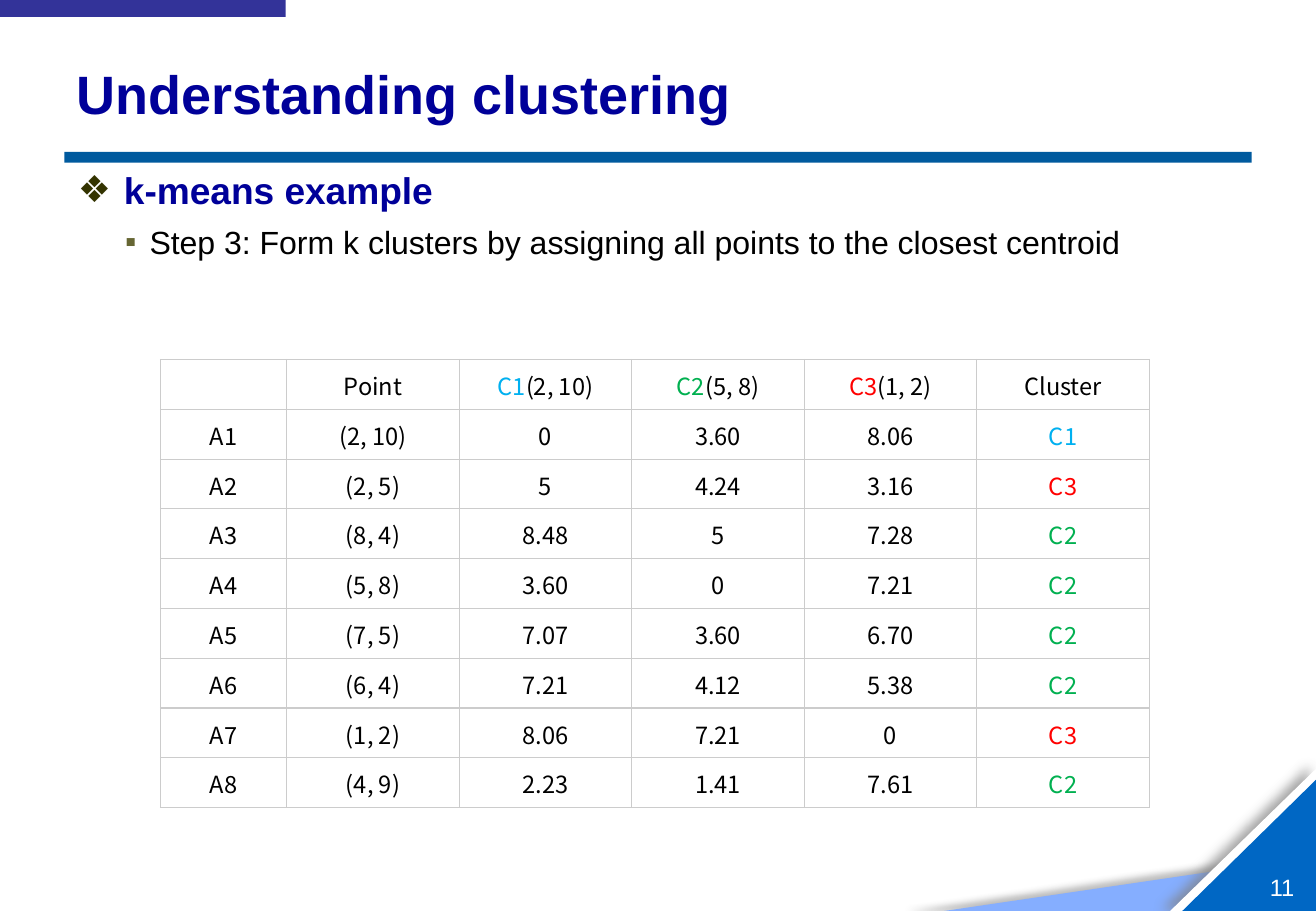
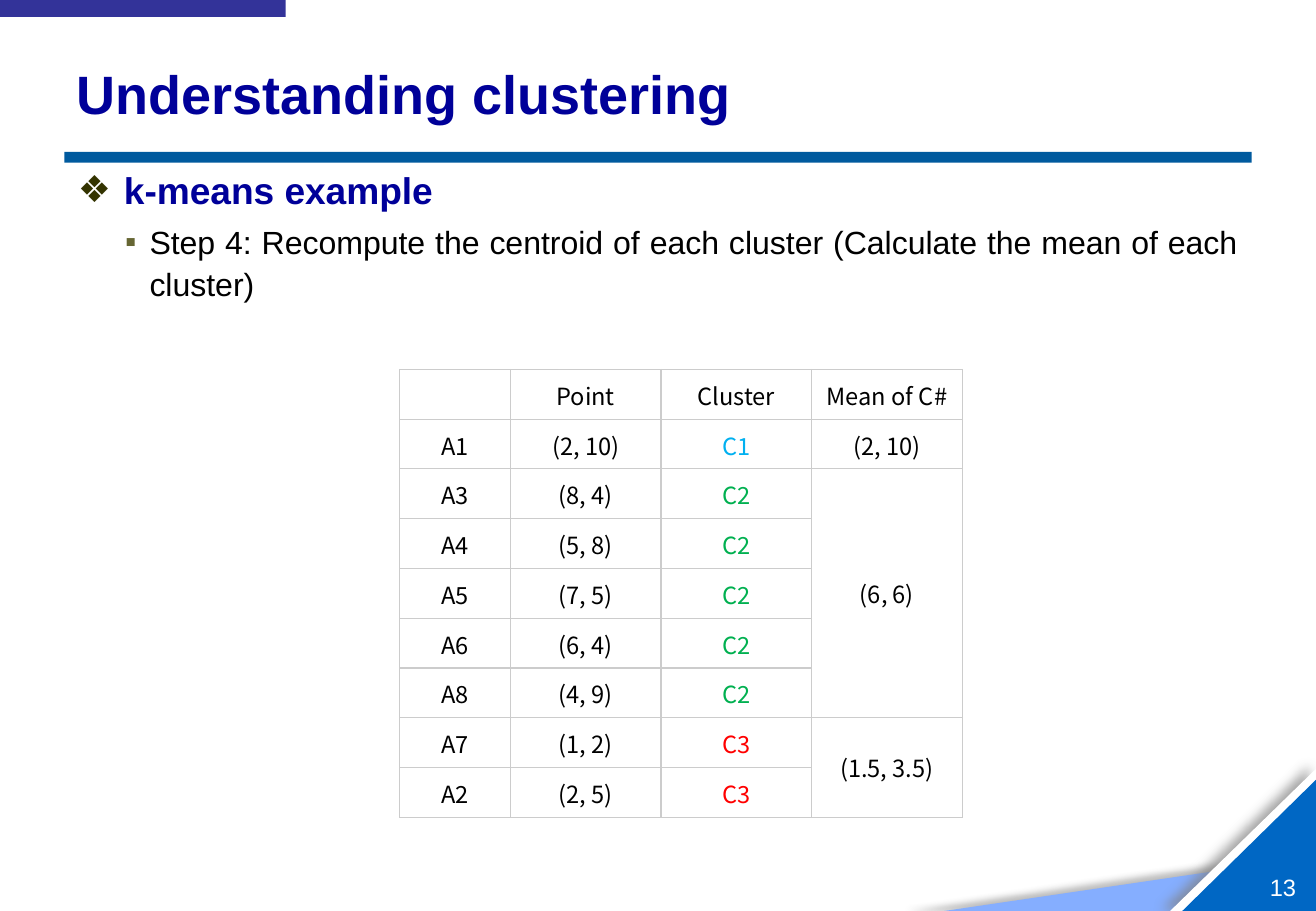
from lxml.etree import SubElement
from pptx import Presentation
from pptx.dml.color import RGBColor
from pptx.enum.shapes import MSO_SHAPE
from pptx.enum.text import MSO_ANCHOR, MSO_AUTO_SIZE, PP_ALIGN
from pptx.oxml.ns import qn
from pptx.util import Inches, Pt

COLORS = {
    "title": "000099", "text": "000000", "white": "FFFFFF",
    "tab": "333399", "rule": "005A9E",
    "wedge": "85AEFF", "corner": "0067C4",
    "mark": "333300", "dot": "666633", "grid": "CCCCCC",
    "shade": "595959", "gray": "808080",
    "C1": "00B0F0", "C2": "00B050", "C3": "FF0000",
}
SANS = "Arial"
CELL = "Noto Sans CJK KR"
ROW = 0.41

HEAD = (0.53, 0.35, 9.77, 0.83)
BODY = (0.54, 1.33, 9.75, 5.4)

STEP3 = [
    ["", "Point", "C1(2, 10)", "C2(5, 8)", "C3(1, 2)", "Cluster"],
    ["A1", "(2, 10)", "0", "3.60", "8.06", "C1"],
    ["A2", "(2, 5)", "5", "4.24", "3.16", "C3"],
    ["A3", "(8, 4)", "8.48", "5", "7.28", "C2"],
    ["A4", "(5, 8)", "3.60", "0", "7.21", "C2"],
    ["A5", "(7, 5)", "7.07", "3.60", "6.70", "C2"],
    ["A6", "(6, 4)", "7.21", "4.12", "5.38", "C2"],
    ["A7", "(1, 2)", "8.06", "7.21", "0", "C3"],
    ["A8", "(4, 9)", "2.23", "1.41", "7.61", "C2"],
]
STEP4 = [
    ["", "Point", "Cluster", "Mean of C#"],
    ["A1", "(2, 10)", "C1", "(2, 10)"],
    ["A3", "(8, 4)", "C2", "(6, 6)"],
    ["A4", "(5, 8)", "C2", ""],
    ["A5", "(7, 5)", "C2", ""],
    ["A6", "(6, 4)", "C2", ""],
    ["A8", "(4, 9)", "C2", ""],
    ["A7", "(1, 2)", "C3", "(1.5, 3.5)"],
    ["A2", "(2, 5)", "C3", ""],
]


def rgb(name):
    return RGBColor.from_string(COLORS[name])


def style(font, size, color, bold=False, face=SANS):
    font.name, font.size, font.bold = face, Pt(size), bold
    font.color.rgb = rgb(color)


def place(shape, box):
    shape.left, shape.top, shape.width, shape.height = map(Inches, box)


def tint(parent, color):
    return SubElement(parent, qn("a:srgbClr"), val=COLORS[color])


def block(slide, kind, box, color):
    shape = slide.shapes.add_shape(kind, *map(Inches, box))
    shape.shadow.inherit = False
    shape.fill.solid()
    shape.fill.fore_color.rgb = rgb(color)
    shape.line.fill.background()
    return shape


def wedge(slide, box, color, shade=None):
    """Right triangle with its square corner at the lower right."""
    shape = block(slide, MSO_SHAPE.RIGHT_TRIANGLE, box, color)
    props = shape.element.spPr
    props.get_or_add_xfrm().set("flipH", "1")
    if shade:
        tone, alpha, blur, dist, angle = shade
        outer = SubElement(
            props.find(qn("a:effectLst")), qn("a:outerShdw"),
            blurRad=str(Pt(blur)), dist=str(Pt(dist)),
            dir=str(angle * 60000), algn="ctr", rotWithShape="0")
        SubElement(tint(outer, tone), qn("a:alpha"), val=str(alpha * 1000))


def frame(slide, number):
    # Lower right corner
    wedge(slide, (7.77, 7.05, 3.06, 0.45), "wedge", ("shade", 40, 4, 22, 180))
    wedge(slide, (9.63, 6.32, 1.21, 1.18), "white", ("gray", 69, 7, 5, 190))
    wedge(slide, (9.73, 6.42, 1.1, 1.08), "corner")
    # Page number
    box = slide.shapes.add_textbox(*map(Inches, (10.45, 7.18, 0.25, 0.24)))
    text = box.text_frame
    text.margin_left = text.margin_right = 0
    text.margin_top = text.margin_bottom = 0
    text.word_wrap = False
    text.vertical_anchor = MSO_ANCHOR.MIDDLE
    text.text = str(number)
    style(text.paragraphs[0].font, 14, "white")
    # Top tab and rule under the title
    block(slide, MSO_SHAPE.RECTANGLE, (0, 0, 2.35, 0.14), "tab")
    block(slide, MSO_SHAPE.RECTANGLE, (0.53, 1.25, 9.77, 0.09), "rule")


def title(slide, box, words):
    shape = slide.shapes.title
    place(shape, box)
    text = shape.text_frame
    text.text = words
    text.auto_size = MSO_AUTO_SIZE.NONE
    text.vertical_anchor = MSO_ANCHOR.MIDDLE
    para = text.paragraphs[0]
    para.alignment = PP_ALIGN.LEFT
    style(para.font, 32, "title", True)


def bullet(para, sign, color, left, hang):
    props = para._p.get_or_add_pPr()
    props.set("marL", str(Inches(left)))
    props.set("indent", str(-Inches(hang)))
    tint(SubElement(props, qn("a:buClr")), color)
    SubElement(props, qn("a:buFont"), typeface=SANS)
    SubElement(props, qn("a:buChar"), char=sign)
    para.alignment = PP_ALIGN.JUSTIFY


def points(slide, box, topic, step):
    shape = slide.placeholders[1]
    place(shape, box)
    text = shape.text_frame
    text.text = topic
    text.auto_size = MSO_AUTO_SIZE.NONE
    text.vertical_anchor = MSO_ANCHOR.TOP
    main = text.paragraphs[0]
    bullet(main, "❖", "mark", 0.38, 0.38)
    style(main.font, 22, "title", True)
    sub = text.add_paragraph()
    sub.text = step
    sub.level = 1
    bullet(sub, "▪", "dot", 0.59, 0.2)
    sub.line_spacing = 1.1
    sub.space_after = Pt(1)
    style(sub.font, 19, "text")


def fill(cell, words):
    # Borders come before the fill in the cell properties
    props = cell._tc.get_or_add_tcPr()
    for side in ("lnL", "lnR", "lnT", "lnB"):
        line = SubElement(props, qn(f"a:{side}"), w=str(Pt(0.75)))
        tint(SubElement(line, qn("a:solidFill")), "grid")
    cell.fill.background()
    cell.margin_left = cell.margin_right = Inches(0.07)
    cell.margin_top = cell.margin_bottom = Inches(0.07)
    cell.vertical_anchor = MSO_ANCHOR.MIDDLE
    para = cell.text_frame.paragraphs[0]
    para.alignment = PP_ALIGN.CENTER
    style(para.font, 14, "text", face=CELL)
    # A leading cluster name takes the colour of its cluster
    tag = words[:2] if words[:2] in COLORS else ""
    for part in filter(None, (tag, words[len(tag):])):
        run = para.add_run()
        run.text = part
        if part == tag:
            run.font.color.rgb = rgb(tag)


def grid(slide, spot, first, other, rows, spans=()):
    """Table at spot; one first column, then equal ones."""
    count = len(rows[0])
    size = (first + other * (count - 1), ROW * len(rows))
    table = slide.shapes.add_table(
        len(rows), count, *map(Inches, spot + size)).table
    table.first_row = table.horz_banding = False
    for i, col in enumerate(table.columns):
        col.width = Inches(other if i else first)
    for r, row in enumerate(rows):
        table.rows[r].height = Inches(ROW)
        for c, words in enumerate(row):
            fill(table.cell(r, c), words)
    for top, end in spans:
        table.cell(top, count - 1).merge(table.cell(end, count - 1))


def page(deck, number, step):
    slide = deck.slides.add_slide(deck.slide_layouts[1])
    frame(slide, number)
    title(slide, HEAD, "Understanding clustering")
    points(slide, BODY, "k-means example", step)
    return slide


def main():
    deck = Presentation()
    deck.slide_width, deck.slide_height = Inches(10.83), Inches(7.5)
    slide = page(deck, 11, "Step 3: Form k clusters by assigning all points "
                 "to the closest centroid")
    grid(slide, (1.32, 2.96), 1.04, 1.42, STEP3)
    slide = page(deck, 13, "Step 4: Recompute the centroid of each cluster "
                 "(Calculate the mean of each cluster)")
    grid(slide, (3.29, 3.04), 0.91, 1.24, STEP4, [(2, 6), (7, 8)])
    deck.save("out.pptx")


if __name__ == "__main__":
    main()
